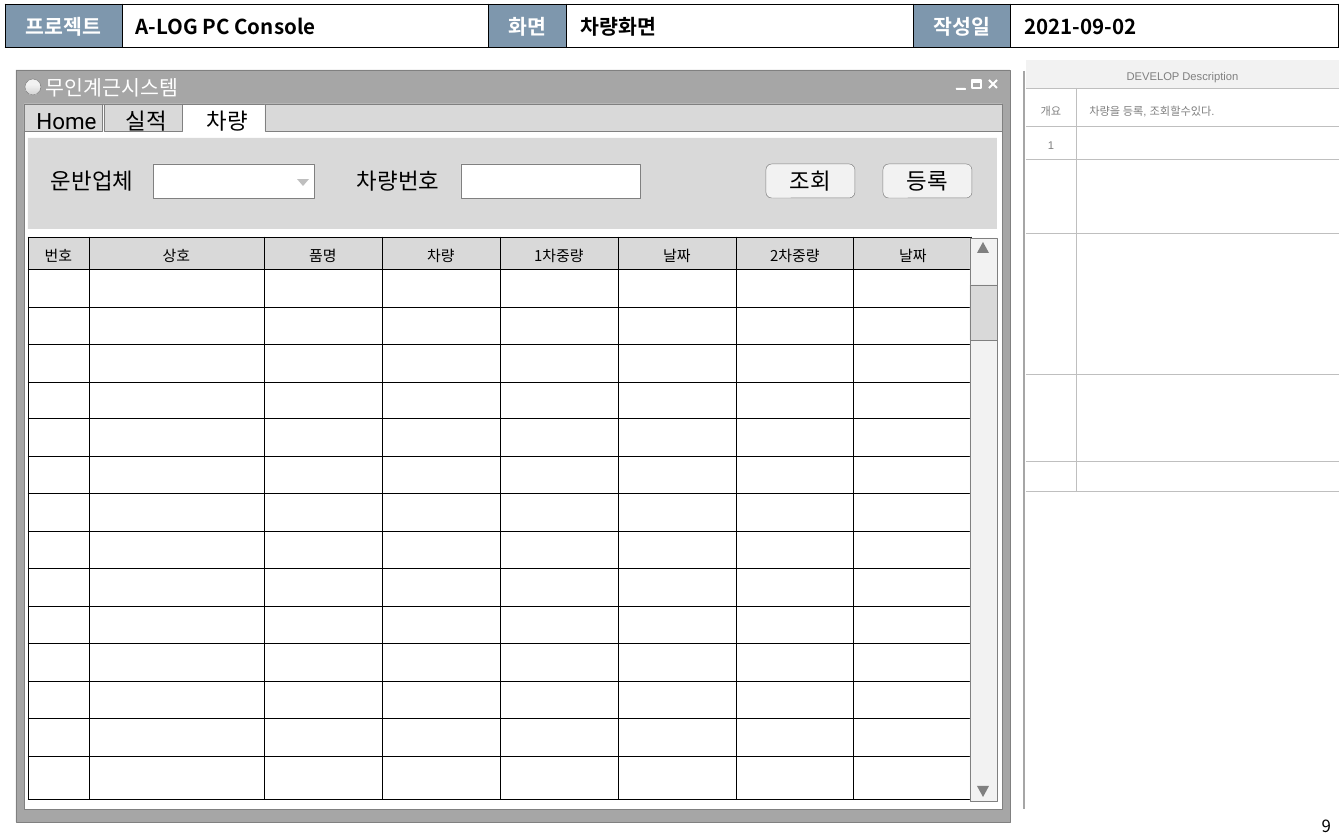
from lxml.etree import SubElement
from pptx import Presentation
from pptx.dml.color import RGBColor
from pptx.enum.shapes import MSO_CONNECTOR, MSO_SHAPE
from pptx.enum.text import MSO_ANCHOR, MSO_AUTO_SIZE, PP_ALIGN
from pptx.oxml.ns import qn
from pptx.util import Emu, Pt

SCALE = 9144000 / 1344
BLACK = RGBColor(0x00, 0x00, 0x00)
WHITE = RGBColor(0xFF, 0xFF, 0xFF)
STEEL = RGBColor(0x7E, 0x97, 0xAD)
FRAME = RGBColor(0xA6, 0xA6, 0xA6)
EDGE = RGBColor(0x80, 0x80, 0x80)
SILVER = RGBColor(0xBF, 0xBF, 0xBF)
PANEL = RGBColor(0xD9, 0xD9, 0xD9)
PALE = RGBColor(0xF2, 0xF2, 0xF2)
KOREAN, SCREEN, NOTE = "Noto Sans CJK KR", "Roboto", "Arial"


def px(*lengths):
    return [Emu(round(length * SCALE)) for length in lengths]


def style(paragraph, size, face, color, align=PP_ALIGN.LEFT, bold=False):
    paragraph.alignment = align
    font = paragraph.font
    font.size, font.bold, font.name = Pt(size), bold, face
    font.color.rgb = color
    SubElement(paragraph._p.pPr.find(qn("a:defRPr")), qn("a:ea"), typeface=KOREAN)


def write(shape, text, size, face, color=BLACK, align=PP_ALIGN.LEFT,
          anchor=MSO_ANCHOR.MIDDLE, insets=(0, 0, 0, 0), wrap=False):
    frame = shape.text_frame
    frame.text = text
    frame.auto_size = MSO_AUTO_SIZE.NONE
    frame.word_wrap = wrap
    frame.vertical_anchor = anchor
    (frame.margin_left, frame.margin_top,
     frame.margin_right, frame.margin_bottom) = px(*insets)
    style(frame.paragraphs[0], size, face, color, align)


def block(shapes, x, y, w, h, fill=None, line=EDGE, width=0.25,
          kind=MSO_SHAPE.RECTANGLE):
    shape = shapes.add_shape(kind, *px(x, y, w, h))
    shape.shadow.inherit = False
    if fill is None:
        shape.fill.background()
    else:
        shape.fill.solid()
        shape.fill.fore_color.rgb = fill
    if line is None:
        shape.line.fill.background()
    else:
        shape.line.color.rgb = line
        shape.line.width = Pt(width)
    return shape


def triangle(shapes, x, y, w, h, fill, rotation=0):
    arrow = block(shapes, x, y, w, h, fill, None, kind=MSO_SHAPE.ISOSCELES_TRIANGLE)
    arrow.rotation = rotation


def rule(shapes, x1, y1, x2, y2, color, width):
    line = shapes.add_connector(MSO_CONNECTOR.STRAIGHT, *px(x1, y1, x2, y2))
    line.line.color.rgb = color
    line.line.width = Pt(width)
    SubElement(line._element.spPr, qn("a:effectLst"))


def grid(shapes, x, y, columns, rows):
    table = shapes.add_table(len(rows), len(columns),
                             *px(x, y, sum(columns), sum(rows))).table
    table.first_row = table.horz_banding = False
    for column, width in zip(table.columns, px(*columns)):
        column.width = width
    for row, height in zip(table.rows, px(*rows)):
        row.height = height
    return table


def finish(cell, fill, sides, color, width):
    if fill is None:
        cell.fill.background()
    else:
        cell.fill.solid()
        cell.fill.fore_color.rgb = fill
    properties = cell._tc.get_or_add_tcPr()
    for index, side in enumerate("LRTB"):
        border = SubElement(properties, qn(f"a:ln{side}"), w=str(Pt(width)))
        if side in sides:
            paint = SubElement(border, qn("a:solidFill"))
            SubElement(paint, qn("a:srgbClr"), val=str(color))
        else:
            SubElement(border, qn("a:noFill"))
        properties.insert(index, border)


def project_header(shapes, x, y, h):
    entries = ["프로젝트", "A-LOG PC Console", "화면", "차량화면", "작성일", "2021-09-02"]
    table = grid(shapes, x, y, [117, 367, 78, 347, 97, 328], [h])
    for index, entry in enumerate(entries):
        cell = table.cell(0, index)
        label = index % 2 == 0
        cell.text = entry
        cell.vertical_anchor = MSO_ANCHOR.MIDDLE
        style(cell.text_frame.paragraphs[0], 11, KOREAN, WHITE if label else BLACK,
              PP_ALIGN.CENTER if label else PP_ALIGN.LEFT, True)
        finish(cell, STEEL if label else WHITE, "LRTB", BLACK, 0.5)


def description(shapes, x, y):
    entries = {(0, 0): "DEVELOP Description", (1, 0): "개요",
               (1, 1): "차량을 등록, 조회할수있다.", (2, 0): "1"}
    rows = [28, 38, 33, 74, 141, 87, 30]
    table = grid(shapes, x, y, [50, 263], rows)
    table.cell(0, 0).merge(table.cell(0, 1))
    for row in range(len(rows)):
        for column in range(2):
            cell = table.cell(row, column)
            cell.text = entries.get((row, column), "")
            cell.vertical_anchor = MSO_ANCHOR.MIDDLE
            if row == 0:
                cell.margin_top = cell.margin_bottom = 0
            paragraph = cell.text_frame.paragraphs[0]
            paragraph.line_spacing = 1.5
            style(paragraph, 6, NOTE, EDGE,
                  PP_ALIGN.LEFT if column else PP_ALIGN.CENTER)
            sides = "B" if row == 0 else ("RTB", "LTB")[column]
            finish(cell, None if row else PALE, sides, SILVER, 0.25)


def window(slide, x, y, w, h):
    shapes = slide.shapes.add_group_shape().shapes
    block(shapes, x, y, w, h, FRAME)
    block(shapes, x + 8, y + 34, w - 16, h - 47, WHITE)
    right, top = x + w - 13, y + 10
    rule(shapes, right - 8, top, right, top + 8, WHITE, 1)
    rule(shapes, right, top, right - 8, top + 8, WHITE, 1)
    block(shapes, right - 25, top + 1, 9, 1, WHITE, WHITE)
    block(shapes, right - 25, top, 9, 8, None, WHITE, 1)
    block(shapes, right - 41, top + 8, 9, 1, WHITE, WHITE)
    knob = block(shapes, x + 9, y + 9, 16, 16, PALE, kind=MSO_SHAPE.OVAL)
    knob.fill.gradient()
    knob.fill.gradient_angle = 270
    for stop, color, position in zip(knob.fill.gradient_stops, (PALE, PANEL), (0.36, 0.91)):
        stop.color.rgb = color
        stop.position = position
    caption = slide.shapes.title
    caption.left, caption.top, caption.width, caption.height = px(x + 30, y + 5, 145, 25)
    write(caption, "무인계근시스템", 11, KOREAN, WHITE)
    slide.shapes[-1].element.addnext(caption.element)


def tabs(shapes, x, y, w, h):
    names = ["Home", "실적", "차량"]
    for index, name in enumerate(names):
        active = index == len(names) - 1
        tab = block(shapes, x + round(80.5 * index), y, 78, h,
                    None if active else PANEL, None if active else EDGE)
        write(tab, name, 12, SCREEN, align=PP_ALIGN.CENTER,
              anchor=MSO_ANCHOR.TOP, insets=(7, 3, 0, 7))
    block(shapes, x + 241, y, w - 241, h, PANEL)


def search_panel(shapes, x, y, w, h):
    block(shapes, x, y, w, h, PANEL, None)
    top = y + 26
    for name, left in (("운반업체", 10), ("차량번호", 316)):
        label = shapes.add_textbox(*px(x + left, top, 118, 34))
        write(label, name, 12, SCREEN, insets=(13, 3, 13, 4))
    carrier = shapes.add_group_shape().shapes
    block(carrier, x + 125, top, 161, 34, WHITE)
    triangle(carrier, x + 269, top + 15, 12, 7, SILVER, 180)
    block(shapes, x + 433, top, 179, 34, WHITE)
    for name, left in (("조회", 738), ("등록", 855)):
        button = block(shapes, x + left, top, 89, 34, PALE,
                       kind=MSO_SHAPE.ROUNDED_RECTANGLE)
        write(button, name, 12, SCREEN, align=PP_ALIGN.CENTER, insets=(13, 0, 13, 1))


def weighing_list(shapes, x, y):
    names = ["번호", "상호", "품명", "차량", "1차중량", "날짜", "2차중량", "날짜"]
    edges = [round(488 * index / 13) for index in range(14)]
    rows = [32] + [low - high for high, low in zip(edges, edges[1:])] + [43]
    table = grid(shapes, x, y, [61, 175] + [118] * 6, rows)
    for row in range(len(rows)):
        for column, name in enumerate(names):
            cell = table.cell(row, column)
            cell.text = "" if row else name
            cell.margin_bottom = 0
            style(cell.text_frame.paragraphs[0], 8, KOREAN, BLACK, PP_ALIGN.CENTER)
            finish(cell, None if row else PANEL, "LRTB", BLACK, 0.5)


def scrollbar(shapes, x, y, w, h):
    parts = shapes.add_group_shape().shapes
    block(parts, x, y, w, h, PALE)
    block(parts, x, y + 47, w, 55, PANEL)
    triangle(parts, x + 7, y + 4, 12, 11, EDGE)
    triangle(parts, x + 7, y + h - 15, 12, 11, EDGE, 180)


def page_number(shapes, x, y, w, h):
    number = shapes.add_textbox(*px(x, y, w, h))
    write(number, "9", 9, KOREAN, align=PP_ALIGN.RIGHT, insets=(13, 7, 13, 7))


deck = Presentation()
deck.slide_width, deck.slide_height = px(1344, 840)
slide = deck.slides.add_slide(deck.slide_layouts[5])
shapes = slide.shapes
page_number(shapes, 941, 809, 403, 34)
rule(shapes, 1024, 71, 1024, 809, FRAME, 0.75)
project_header(shapes, 5, 4, 43)
description(shapes, 1026, 60)
window(slide, 16, 70, 994, 752)
tabs(shapes, 24, 104, 978, 27)
search_panel(shapes, 28, 138, 969, 91)
weighing_list(shapes, 28, 237)
scrollbar(shapes, 970, 238, 27, 563)
deck.save("out.pptx")
